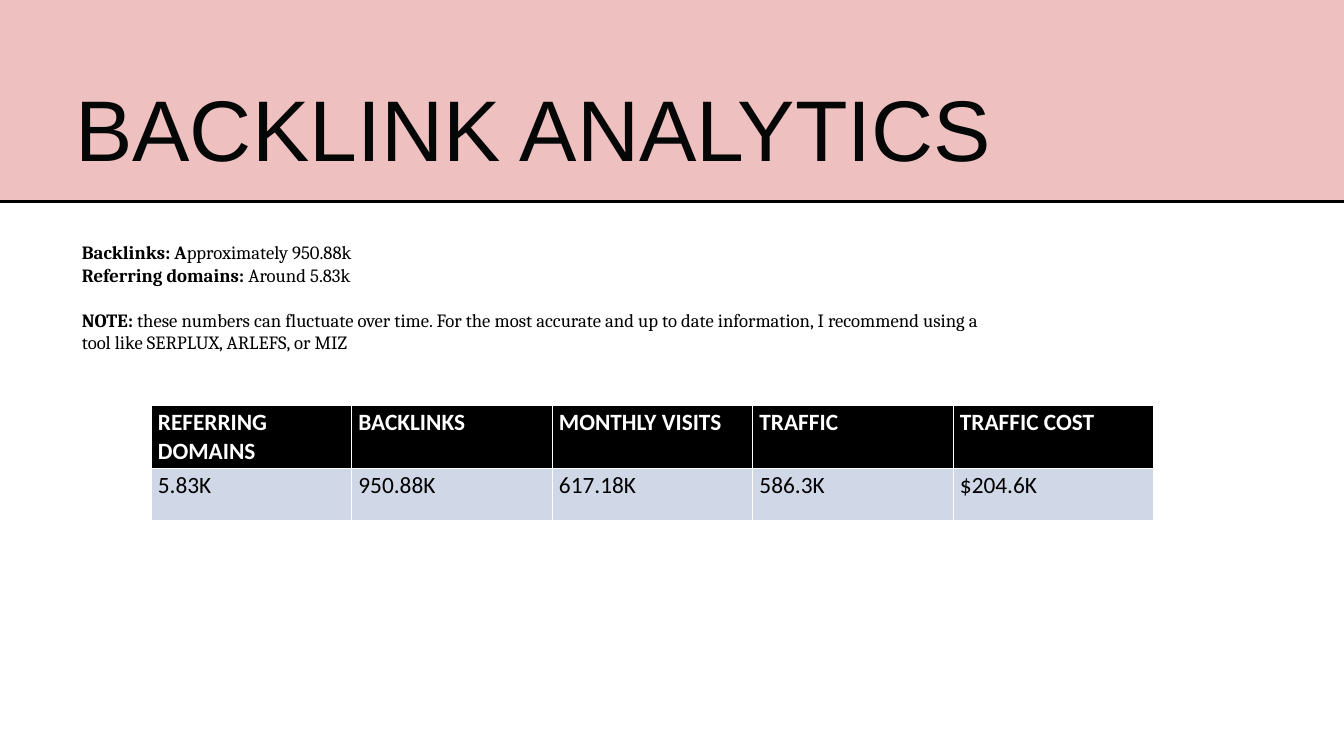
from pptx import Presentation
from pptx.dml.color import RGBColor
from pptx.enum import shapes, text
from pptx.oxml.ns import qn
from pptx.util import Inches, Pt

COLORS = {"band": "EEC0BF", "title": "050707", "black": "000000",
          "white": "FFFFFF", "row": "D0D8E8"}
NOTES = [
    ("Backlinks: A", "pproximately 950.88k"),
    ("Referring domains: ", "Around 5.83k"),
    ("NOTE: ", "these numbers can fluctuate over time. For the most accurate and up to "
               "date information, I recommend using a tool like SERPLUX, ARLEFS, or MIZ"),
]
METRICS = [
    ("REFERRING DOMAINS", "5.83K"),
    ("BACKLINKS", "950.88K"),
    ("MONTHLY VISITS", "617.18K"),
    ("TRAFFIC", "586.3K"),
    ("TRAFFIC COST", "$204.6K"),
]


def color(name):
    return RGBColor.from_string(COLORS[name])


def style(font, name, size, fill, bold=None):
    font.name, font.size, font.bold = name, Pt(size), bold
    font.color.rgb = color(fill)


def add_header(s, x, y, w, h):
    """Coloured band with a rule along its foot and the slide title on it."""
    band = s.shapes.add_shape(shapes.MSO_SHAPE.RECTANGLE,
                              Inches(x), Inches(y), Inches(w), Inches(h))
    band.shadow.inherit = False
    band.fill.solid()
    band.fill.fore_color.rgb = color("band")
    band.line.fill.background()

    title = s.shapes.title
    title._element.addprevious(band._element)  # keep the band behind the title
    title.left, title.top = Inches(x + 1.12), Inches(y + 1.12)
    title.width, title.height = Inches(w - 1.48), Inches(1.53)
    tf = title.text_frame
    tf.margin_left = tf.margin_top = tf.margin_right = tf.margin_bottom = 0
    tf.vertical_anchor = text.MSO_ANCHOR.TOP
    tf.auto_size = text.MSO_AUTO_SIZE.NONE
    tf.text = "BACKLINK ANALYTICS"
    p = tf.paragraphs[0]
    p.alignment = text.PP_ALIGN.LEFT
    p.line_spacing = Pt(110.6)
    style(p.font, "Arial", 92.2, "title")

    rule = s.shapes.add_connector(shapes.MSO_CONNECTOR.STRAIGHT,
                                  Inches(x), Inches(y + h), Inches(x + w), Inches(y + h))
    rule.line.color.rgb = color("black")
    rule.line.width = Pt(3)
    rule._element.spPr.append(rule._element.makeelement(qn("a:effectLst"), {}))


def add_notes(s, x, y, w, h):
    tf = s.shapes.add_textbox(Inches(x), Inches(y), Inches(w), Inches(h)).text_frame
    tf.word_wrap = True
    for i, (lead, rest) in enumerate(NOTES):
        p = tf.paragraphs[0] if i == 0 else tf.add_paragraph()
        style(p.font, "Cambria", 20, "black")
        for words, bold in ((lead, True), (rest, False)):
            r = p.add_run()
            r.text, r.font.bold = words, bold
    p.space_before = Pt(24)


def add_metrics(s, x, y, w, row_heights):
    table = s.shapes.add_table(2, len(METRICS), Inches(x), Inches(y), Inches(w),
                               Inches(sum(row_heights))).table
    for row, height in zip(table.rows, row_heights):
        row.height = Inches(height)
    for col, values in enumerate(METRICS):
        for row, value in enumerate(values):
            is_head = row == 0
            cell = table.cell(row, col)
            cell.text = value
            cell.fill.solid()
            cell.fill.fore_color.rgb = color("black" if is_head else "row")
            style(cell.text_frame.paragraphs[0].font, "Calibri", 25,
                  "white" if is_head else "black", is_head)


def main():
    prs = Presentation()
    prs.slide_width, prs.slide_height = Inches(20), Inches(11.25)
    s = prs.slides.add_slide(prs.slide_layouts.get_by_name("Title Only"))
    s.background.fill.solid()
    s.background.fill.fore_color.rgb = color("white")
    add_header(s, 0, 0, 20, 3)
    add_notes(s, 1.12, 3.54, 13.89, 1.78)
    add_metrics(s, 2.25, 6.03, 14.92, (0.94, 0.77))
    prs.save("out.pptx")


if __name__ == "__main__":
    main()
